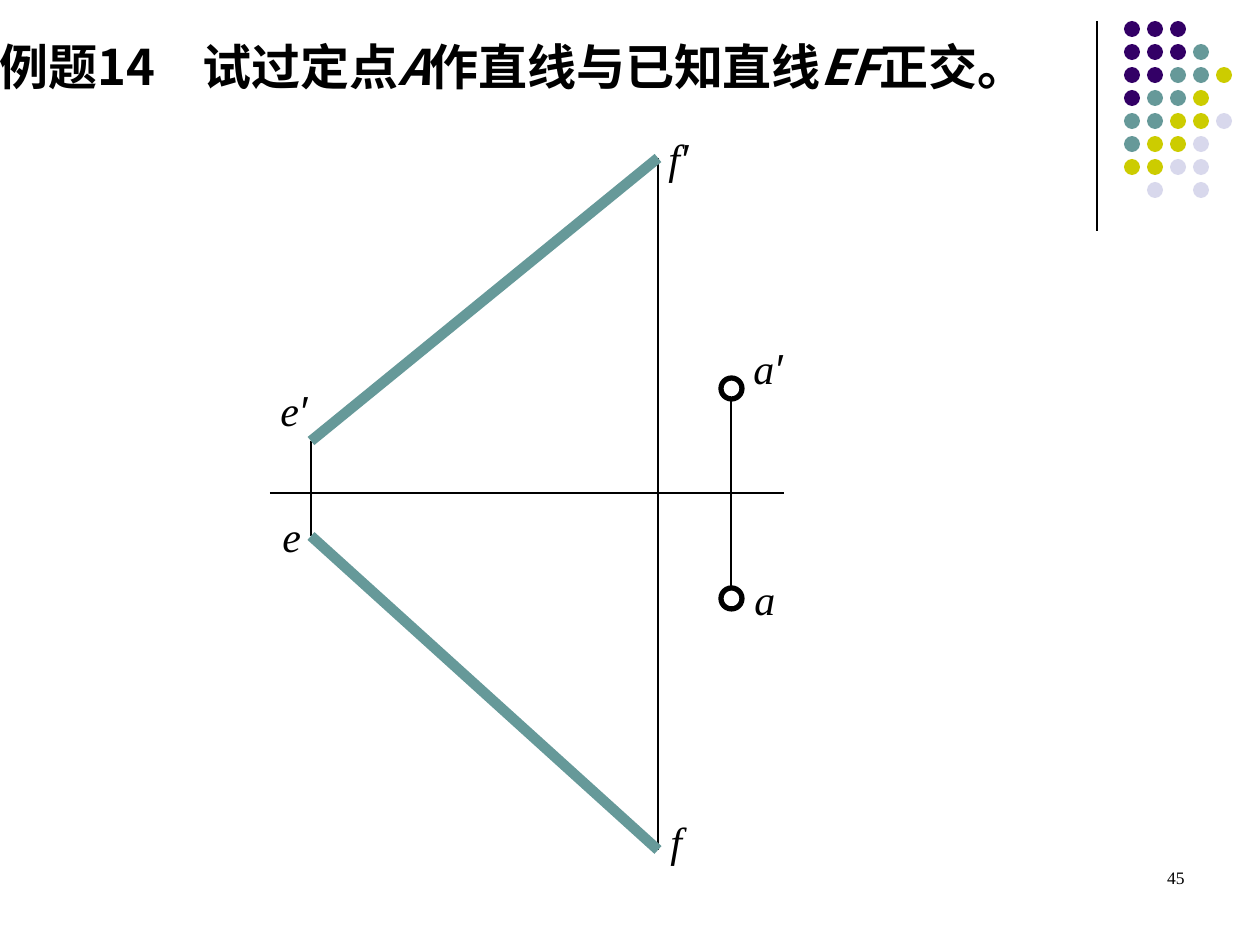
from pptx import Presentation
from pptx.dml.color import RGBColor
from pptx.enum.shapes import MSO_CONNECTOR, MSO_SHAPE
from pptx.enum.text import MSO_AUTO_SIZE, PP_ALIGN
from pptx.oxml.ns import qn
from pptx.util import Pt
from lxml.etree import SubElement

HUES = {
    "ink": "000000",
    "paper": "FFFFFF",
    "plum": "330066",
    "teal": "669999",
    "lime": "CCCC00",
    "mist": "D8D8EC",
}
KEYS = {"P": "plum", "T": "teal", "L": "lime", "M": "mist"}
DOTS = ["PPP", "PPPT", "PPTTL", "PTTL", "TTLLM", "TLLM", "LLMM", " M M"]
SERIF = "Times New Roman"
SANS = "Arial"
HAN = "Noto Sans CJK SC"


def px(num):
    return round(num * 914400 / 126)


def hue(name):
    return RGBColor.from_string(HUES[name])


def line(shapes, start, end, color="ink", width=1.5):
    item = shapes.add_connector(MSO_CONNECTOR.STRAIGHT, *map(px, start + end))
    item.line.color.rgb = hue(color)
    item.line.width = Pt(width)
    SubElement(item._element.spPr, qn("a:effectLst"))


def disc(shapes, left, top, size, fill, edge=None):
    item = shapes.add_shape(MSO_SHAPE.OVAL, *map(px, (left, top, size, size)))
    item.shadow.inherit = False
    item.fill.solid()
    item.fill.fore_color.rgb = hue(fill)
    if edge:
        item.line.color.rgb = hue("ink")
        item.line.width = Pt(edge)
    else:
        item.line.fill.background()


def text(shapes, box, runs, size, font=SERIF, bold=False, wrap=False,
         grow=True, align=PP_ALIGN.LEFT, tab=None):
    frame = shapes.add_textbox(*map(px, box)).text_frame
    frame.word_wrap = wrap
    if grow:
        frame.auto_size = MSO_AUTO_SIZE.SHAPE_TO_FIT_TEXT
    para = frame.paragraphs[0]
    para.alignment = align
    if tab:
        stops = SubElement(para._p.get_or_add_pPr(), qn("a:tabLst"))
        SubElement(stops, qn("a:tab"), pos=str(px(tab)), algn="l")
    for words, slant, *face in runs:
        run = para.add_run()
        run.text = words
        style = run.font
        style.size = Pt(size)
        style.bold = bold
        style.italic = slant
        style.color.rgb = hue("ink")
        style.name = face[0] if face else font
        SubElement(run._r.rPr, qn("a:ea"), typeface=style.name)


def corner(shapes, left, top):
    line(shapes, (left, top), (left, top + 210), width=0.75)
    group = shapes.add_group_shape().shapes
    for row, keys in enumerate(DOTS):
        for col, key in enumerate(keys):
            if key in KEYS:
                disc(group, left + 27 + 23 * col, top + 23 * row, 16, KEYS[key])


def figure(shapes, left, top):
    group = shapes.add_group_shape().shapes

    def at(x, y):
        return left + x, top + y

    e_up, e_low = at(43, 315), at(43, 410)
    f_up, f_low = at(390, 32), at(390, 724)
    a_up, a_low = at(463, 262), at(463, 472)
    for start, end in [(f_up, f_low), (e_up, e_low),
                       (at(2, 367), at(516, 367)), (a_up, a_low)]:
        line(group, start, end)
    for start, end in [(f_up, e_up), (e_low, f_low)]:
        line(group, start, end, "teal", 6)
    for x, y in (a_low, a_up):
        disc(group, x - 10, y - 10, 21, "paper", 3)
    for name, prime, x, y, width in [
        ("a", True, 473, 210, 60), ("e", False, 2, 378, 44),
        ("f", False, 390, 683, 37), ("a", False, 474, 441, 45),
        ("f", True, 388, 0, 50), ("e", True, 0, 252, 58),
    ]:
        runs = [(name, True)] + [("′", True, SANS)] * prime
        text(group, (*at(x, y), width, 63), runs, 24)


def title(shapes, box):
    runs = [("例题14\t试过定点", False), ("A", True),
            ("作直线与已知直线", False), ("EF", True), ("正交。", False)]
    text(shapes, box, runs, 28, font=HAN, bold=True, wrap=True, tab=203)


def number(shapes, box):
    text(shapes, box, [("45", False)], 10, wrap=True, grow=False,
         align=PP_ALIGN.RIGHT)


def main():
    deck = Presentation()
    deck.slide_width, deck.slide_height = px(1260), px(945)
    shapes = deck.slides.add_slide(deck.slide_layouts[6]).shapes
    corner(shapes, 1097, 21)
    figure(shapes, 268, 126)
    title(shapes, (-13, 30, 1134, 72))
    number(shapes, (903, 861, 294, 63))
    deck.save("out.pptx")


if __name__ == "__main__":
    main()
